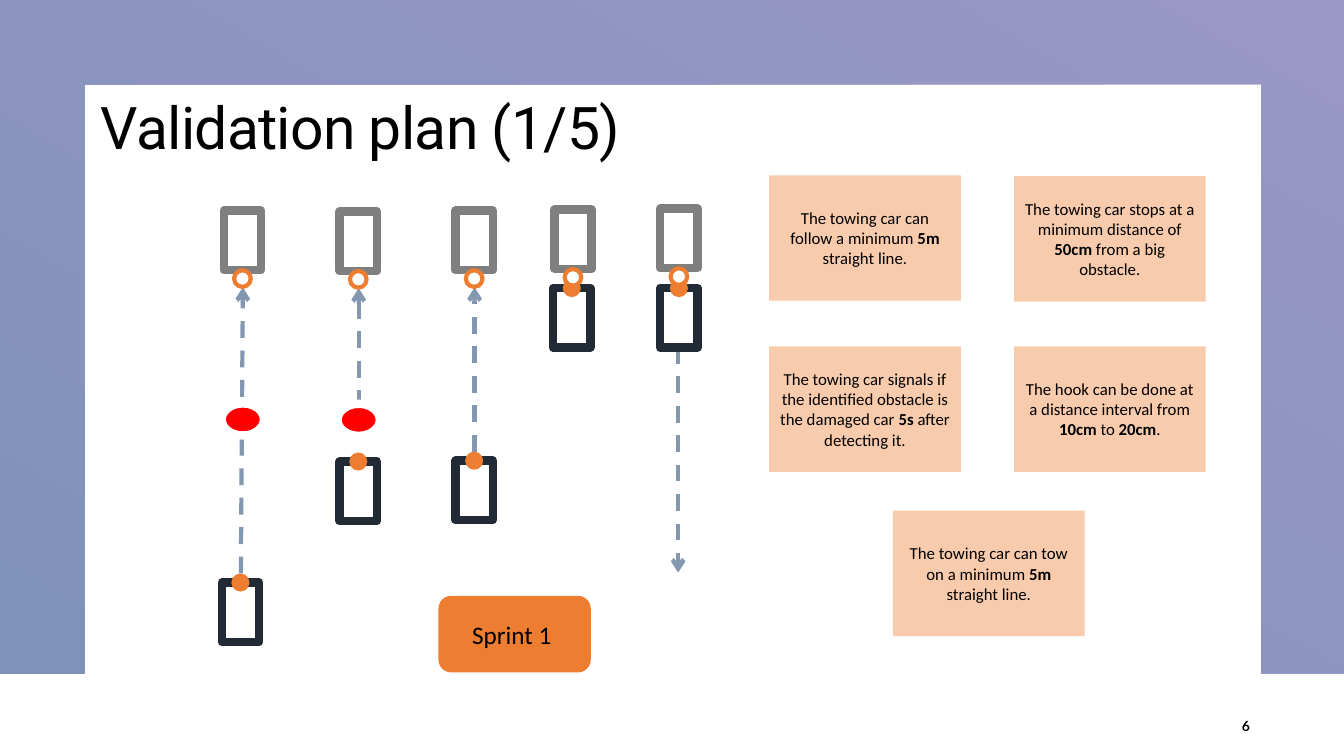
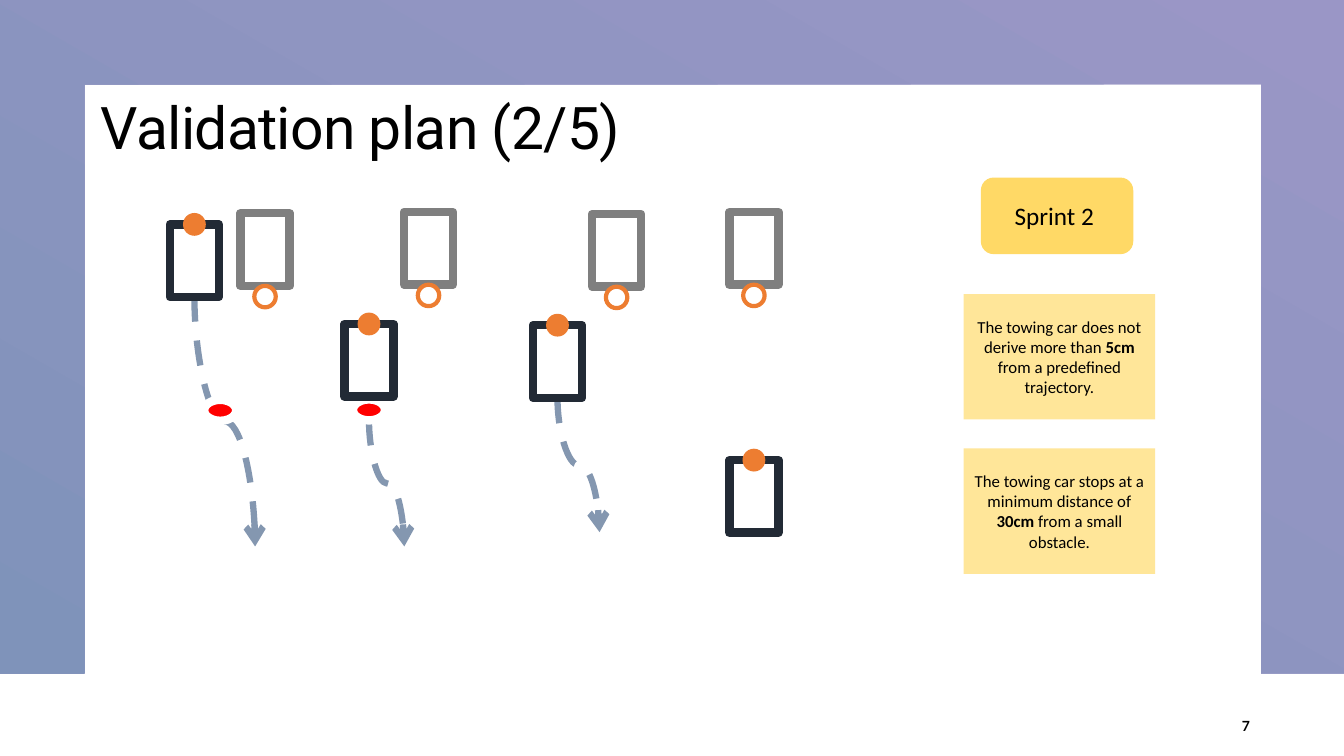
"""Build two validation plan slides showing towing scenarios and their acceptance criteria."""
import pptx
import pptx.dml.color
import pptx.enum.shapes
import pptx.enum.text
import pptx.oxml
import pptx.oxml.ns
import pptx.util
from pptx.util import Cm

RGBColor = pptx.dml.color.RGBColor
SHAPE = pptx.enum.shapes.MSO_SHAPE
CONNECTOR = pptx.enum.shapes.MSO_CONNECTOR
ANCHOR = pptx.enum.text.MSO_ANCHOR
ALIGN = pptx.enum.text.PP_ALIGN

BLACK = RGBColor(0x00, 0x00, 0x00)
WHITE = RGBColor(0xFF, 0xFF, 0xFF)
PURPLE = RGBColor(0x9A, 0x96, 0xC6)
BLUE = RGBColor(0x7F, 0x93, 0xBA)
NAVY = RGBColor(0x22, 0x2A, 0x35)
GREY = RGBColor(0x7F, 0x7F, 0x7F)
ORANGE = RGBColor(0xED, 0x7D, 0x31)
PEACH = RGBColor(0xF8, 0xCB, 0xAD)
GOLD = RGBColor(0xFF, 0xD9, 0x66)
CREAM = RGBColor(0xFF, 0xE6, 0x99)
STEEL = RGBColor(0x84, 0x97, 0xB0)
RED = RGBColor(0xFF, 0x00, 0x00)

NOTE_SIZE = (4.83, 3.16)
SPRINT_SIZE = (3.84, 1.93)

PLANS = [
    {
        "title": "Validation plan (1/5)", "number": "6",
        "sprint": ("Sprint 1 ", 12.97, 15.98, ORANGE),
        "car": (0.94, 1.5), "hook": 0.42, "obstacle": (1.07, 0.81),
        "towing": [(6.06, 15.43), (9.03, 12.38), (11.95, 12.36), (14.41, 8.01), (17.11, 8.01)],
        "damaged": [(6.11, 6.06), (9.03, 6.08), (11.95, 6.06), (14.44, 6.03), (17.11, 6.01)],
        "obstacles": [(6.12, 10.57), (9.04, 10.58)],
        "curved": False, "route_width": 3,
        "routes": [(6.07, 14.45, 6.12, 7.24), (9.04, 11, 9.04, 7.26),
                   (11.96, 11.38, 11.96, 7.24), (17.09, 8.74, 17.09, 14.43)],
        "note_color": PEACH,
        "notes": [
            (21.8, 6, ["The towing car can follow a minimum", " 5m ", "straight line."]),
            (27.97, 6.02, ["The towing car stops at a minimum distance of ", "50cm ",
                           "from a big obstacle."]),
            (21.8, 10.31, ["The towing car signals if the identified obstacle is the damaged car ",
                           "5s ", "after detecting it."]),
            (27.97, 10.31, ["The hook can be done at a distance interval from ", "10cm", " to ",
                            "20cm", "."]),
            (24.92, 14.45, ["The towing car can tow on a minimum", " 5m ", "straight line."]),
        ],
    },
    {
        "title": "Validation plan (2/5)", "number": "7",
        "sprint": ("Sprint 2 ", 26.64, 5.44, GOLD),
        "car": (1.24, 1.83), "hook": 0.54, "obstacle": (0.81, 0.53),
        "towing": [(4.9, 6.57), (9.3, 9.08), (14.05, 9.11), (19, 12.51)],
        "damaged": [(6.68, 6.29), (10.8, 6.26), (15.54, 6.31), (19, 6.26)],
        "obstacles": [(5.55, 10.34), (9.3, 10.33)],
        "curved": True, "route_width": 4.5,
        "routes": [(4.9, 7.47, 6.43, 13.77), (9.3, 10.59, 10.19, 13.77),
                   (14.05, 10.03, 15.11, 13.41)],
        "note_color": CREAM,
        "notes": [
            (26.7, 8.99, ["The towing car does not derive more than ", "5cm ",
                          "from a predefined trajectory."]),
            (26.7, 12.88, ["The towing car stops at a minimum distance of ", "30cm ",
                           "from a small obstacle."]),
        ],
    },
]


def place(slide, kind, center, size, fill=None, line=None, line_width=0):
    """Add a preset shape around a centre given in centimetres."""
    (x, y), (width, height) = center, size
    shape = slide.shapes.add_shape(kind, Cm(x - width / 2), Cm(y - height / 2),
                                   Cm(width), Cm(height))
    shape.shadow.inherit = False
    if fill is None:
        shape.fill.background()
    else:
        shape.fill.solid()
        shape.fill.fore_color.rgb = fill
    if line is None:
        shape.line.fill.background()
    else:
        shape.line.color.rgb = line
        shape.line.width = pptx.util.Pt(line_width)
    return shape


def write(shape, pieces, font, size, align=ALIGN.CENTER, anchor=ANCHOR.MIDDLE, bold_first=False):
    """Write pieces as runs that alternate between regular and bold."""
    frame = shape.text_frame
    frame.word_wrap = True
    frame.vertical_anchor = anchor
    paragraph = frame.paragraphs[0]
    paragraph.alignment = align
    for index, piece in enumerate(pieces):
        run = paragraph.add_run()
        run.text = piece
        run.font.name = font
        run.font.size = pptx.util.Pt(size)
        run.font.color.rgb = BLACK
        run.font.bold = (index % 2 == 1) != bold_first
    return paragraph


deck = pptx.Presentation()
deck.slide_width, deck.slide_height = Cm(33.87), Cm(19.05)
blank = deck.slide_layouts[6]
slides = [deck.slides.add_slide(blank) for plan in PLANS]

outline = slides[0].shapes.build_freeform(0, 0, scale=1.0)
corners = [(33.87, 0), (33.87, 16.97), (31.78, 16.97), (31.78, 2.13),
           (2.13, 2.13), (2.13, 16.97), (0, 16.97)]
outline.add_line_segments([(Cm(x), Cm(y)) for x, y in corners], close=True)
border = outline.convert_to_shape()
border.shadow.inherit = False
border.line.fill.background()
border.fill.gradient()
border.fill.gradient_angle = 240
for stop, color, position in zip(border.fill.gradient_stops, (PURPLE, BLUE), (0, 1)):
    stop.color.rgb = color
    stop.position = position
blank.shapes.element.append(border.element)

for slide, plan in zip(slides, PLANS):
    title = slide.shapes.add_textbox(Cm(2.29), Cm(2.29), Cm(25.4), Cm(3.73))
    heading = write(title, [plan["title"]], "Roboto", 42, ALIGN.LEFT, ANCHOR.TOP)
    heading.line_spacing = 0.95
    heading.runs[0].font.element.set("spc", "-50") if hasattr(
        heading.runs[0].font, "element") else heading.runs[0].font._rPr.set("spc", "-50")

    for x1, y1, x2, y2 in plan["routes"]:
        if plan["curved"]:
            mid_x, mid_y = (x1 + x2) / 2, (y1 + y2) / 2
            half_run, half_drop = (x2 - x1) / 2, (y2 - y1) / 2
            route = slide.shapes.add_connector(
                CONNECTOR.CURVE, Cm(mid_x + half_drop), Cm(mid_y - half_run),
                Cm(mid_x - half_drop), Cm(mid_y + half_run))
            route.element.spPr.find(pptx.oxml.ns.qn("a:xfrm")).set("rot", "16200000")
        else:
            route = slide.shapes.add_connector(CONNECTOR.STRAIGHT, Cm(x1), Cm(y1), Cm(x2), Cm(y2))
        route.line.color.rgb = STEEL
        route.line.width = pptx.util.Pt(plan["route_width"])
        route.line.dash_style = pptx.enum.dml.MSO_LINE.DASH
        stroke = route.element.spPr.find(pptx.oxml.ns.qn("a:ln"))
        stroke.append(pptx.oxml.parse_xml(
            f'<a:tailEnd {pptx.oxml.ns.nsdecls("a")} type="arrow"/>'))
        route.element.spPr.append(pptx.oxml.parse_xml(
            f'<a:effectLst {pptx.oxml.ns.nsdecls("a")}/>'))

    for center in plan["obstacles"]:
        place(slide, SHAPE.OVAL, center, plan["obstacle"], RED, WHITE, 6)

    half_car = plan["car"][1] / 2
    hook = plan["hook"]
    fleet = [("towing", NAVY, -half_car, ORANGE, 1),
             ("damaged", GREY, half_car + hook / 2, WHITE, 3)]
    for role, body_color, hook_offset, hook_fill, hook_line in fleet:
        for x, y in plan[role]:
            place(slide, SHAPE.RECTANGLE, (x, y), plan["car"], None, body_color, 6)
            place(slide, SHAPE.OVAL, (x, y + hook_offset), (hook, hook),
                  hook_fill, ORANGE, hook_line)

    label, x, y, color = plan["sprint"]
    sprint = place(slide, SHAPE.ROUNDED_RECTANGLE, (x, y), SPRINT_SIZE, color)
    write(sprint, [label], "Calibri", 18)

    for x, y, pieces in plan["notes"]:
        note = place(slide, SHAPE.RECTANGLE, (x, y), NOTE_SIZE, plan["note_color"])
        write(note, pieces, "Calibri", 12)

    number = slide.shapes.add_textbox(Cm(30.28), Cm(17.78), Cm(1.47), Cm(1.02))
    write(number, [plan["number"]], "Lato", 10, ALIGN.RIGHT, bold_first=True)

deck.save("out.pptx")
